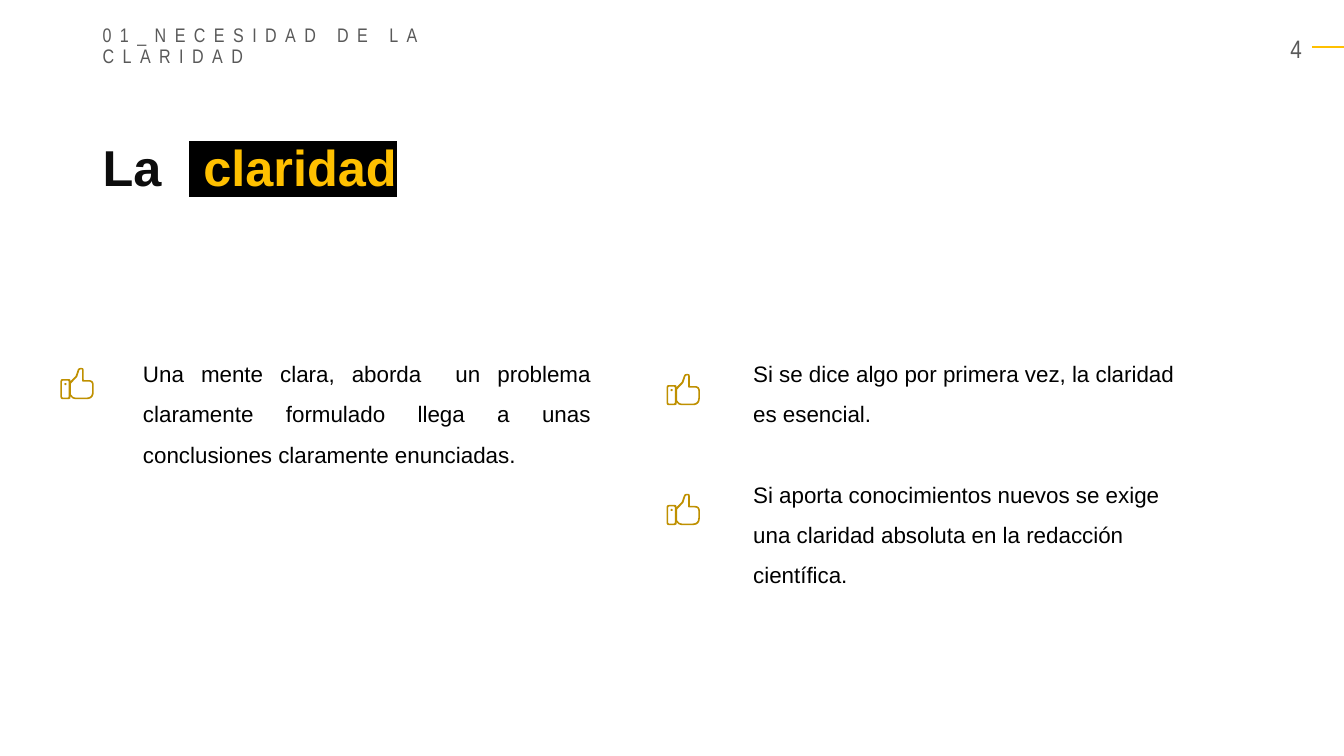
import pptx
import pptx.dml.color
import pptx.enum.shapes
import pptx.enum.text
import pptx.oxml
import pptx.oxml.ns
import pptx.util

COLORS = {
    "accent": "FFC000",
    "icon": "BF9000",
    "muted": "595959",
    "title": "0D0D0D",
    "black": "000000",
}
ALIGN = pptx.enum.text.PP_ALIGN
ANCHOR = pptx.enum.text.MSO_ANCHOR

# Thumbs-up contours in thousandths of an inch: x, y, corner radius
THUMBS_UP = [
    [(0, 110, 25), (0, 310, 25), (100, 310, 30), (100, 280, 0),
     (125, 310, 35), (330, 310, 70), (330, 120, 50), (230, 120, 8),
     (230, 0, 20), (178, 0, 20), (150, 80, 5), (98, 132, 0), (98, 110, 25)],
    [(15, 125, 15), (15, 295, 15), (82, 295, 15), (82, 125, 15)],
    [(104, 155, 5), (104, 262, 5), (130, 295, 35), (315, 295, 60),
     (315, 135, 38), (215, 135, 10), (215, 15, 5), (190, 15, 12),
     (168, 86, 8)],
    [(40, 150, 10), (40, 170, 10), (60, 170, 10), (60, 150, 10)],
]


def color(name):
    return pptx.dml.color.RGBColor.from_string(COLORS[name])


def rounded(corners, steps=6):
    """Return the points of a closed polygon with its corners rounded."""
    points = []
    for index, (x, y, radius) in enumerate(corners):
        ends = []
        for near_x, near_y, _ in (corners[index - 1], corners[(index + 1) % len(corners)]):
            length = ((near_x - x) ** 2 + (near_y - y) ** 2) ** 0.5
            share = min(radius / length, 0.5)
            ends.append((x + (near_x - x) * share, y + (near_y - y) * share))
        (start_x, start_y), (end_x, end_y) = ends
        for step in range(steps + 1):
            t = step / steps
            points.append((
                (1 - t) ** 2 * start_x + 2 * t * (1 - t) * x + t ** 2 * end_x,
                (1 - t) ** 2 * start_y + 2 * t * (1 - t) * y + t ** 2 * end_y,
            ))
    return points


def add_run(paragraph, text, size=16, font="Arial", fill="black",
            bold=False, spacing=0, highlight=None):
    run = paragraph.add_run()
    run.text = text
    run.font.size = pptx.util.Pt(size)
    run.font.name = font
    run.font.bold = bold
    run.font.color.rgb = color(fill)
    properties = run.font._element
    if spacing:
        properties.set("spc", str(spacing * 100))
    if highlight:
        mark = pptx.oxml.parse_xml(
            f'<a:highlight {pptx.oxml.ns.nsdecls("a")}>'
            f'<a:srgbClr val="{COLORS[highlight]}"/></a:highlight>')
        properties.find(pptx.oxml.ns.qn("a:solidFill")).addnext(mark)


class SlideBuilder:
    """Places elements by percentages of the slide's width and height."""

    def __init__(self, presentation):
        self.width = presentation.slide_width
        self.height = presentation.slide_height
        self.slide = presentation.slides.add_slide(presentation.slide_layouts[6])

    def across(self, percent):
        return round(self.width * percent / 100)

    def down(self, percent):
        return round(self.height * percent / 100)

    def text(self, box, paragraphs, align=ALIGN.LEFT, anchor=ANCHOR.TOP,
             line_spacing=1.0, gap=0, before=0):
        """Add a text box; each paragraph is a list of (text, format) runs."""
        left, top, width, height = box
        shape = self.slide.shapes.add_textbox(
            self.across(left), self.down(top), self.across(width), self.down(height))
        frame = shape.text_frame
        frame.word_wrap = True
        frame.vertical_anchor = anchor
        for index, runs in enumerate(paragraphs):
            paragraph = frame.add_paragraph() if index else frame.paragraphs[0]
            paragraph.alignment = align
            paragraph.line_spacing = line_spacing
            paragraph.space_before = pptx.util.Pt(gap if index else before)
            for text, style in runs:
                add_run(paragraph, text, **style)

    def line(self, start, end, y, stroke, weight):
        connector = self.slide.shapes.add_connector(
            pptx.enum.shapes.MSO_CONNECTOR.STRAIGHT,
            self.across(start), self.down(y), self.across(end), self.down(y))
        connector.line.color.rgb = color(stroke)
        connector.line.width = pptx.util.Pt(weight)
        connector._element.spPr.append(pptx.oxml.parse_xml(
            f'<a:effectLst {pptx.oxml.ns.nsdecls("a")}/>'))

    def thumbs_up(self, left, top):
        builder = None
        for contour in THUMBS_UP:
            points = rounded(contour)
            if builder is None:
                builder = self.slide.shapes.build_freeform(
                    *points[0], scale=pptx.util.Inches(1) / 1000)
            else:
                builder.move_to(*points[0])
            builder.add_line_segments(points[1:], close=True)
        shape = builder.convert_to_shape(self.across(left), self.down(top))
        shape.shadow.inherit = False
        shape.fill.solid()
        shape.fill.fore_color.rgb = color("icon")
        shape.line.fill.background()


def main():
    presentation = pptx.Presentation()
    presentation.slide_width = pptx.util.Inches(13.33)
    presentation.slide_height = pptx.util.Inches(7.5)
    slide = SlideBuilder(presentation)

    slide.line(100, 97.6, 6.27, "accent", 1.5)
    small = {"font": "Arial Narrow", "fill": "muted"}
    slide.text((91.3, 3.73, 6.3, 4.67),
               [[("4", {**small, "size": 18, "spacing": 3})]], align=ALIGN.RIGHT)
    slide.text((9.9, 45.2, 34.8, 16.8), [[(
        "Una mente clara, aborda  un problema claramente formulado llega a "
        "unas conclusiones claramente enunciadas.", {})]],
        align=ALIGN.JUSTIFY, line_spacing=1.5)
    heading = {"size": 36, "bold": True}
    slide.text((6.9, 17.33, 46.7, 9.47), [[
        ("La  ", {**heading, "fill": "title"}),
        (" claridad", {**heading, "fill": "accent", "highlight": "black"})]])
    slide.text((6.9, 3.47, 35.9, 5.33),
               [[("01_NECESIDAD DE LA CLARIDAD", {**small, "size": 14, "spacing": 6})]],
               anchor=ANCHOR.MIDDLE, line_spacing=0.9, before=10)
    slide.text((55.3, 45.2, 34.8, 32.9), [
        [("Si se dice algo por primera vez, la claridad es esencial.", {})],
        [("Si aporta conocimientos nuevos se exige una claridad absoluta "
          "en la redacción científica.", {})]],
        line_spacing=1.5, gap=28.7)
    for left, top in ((4.5, 48.67), (49.6, 49.47), (49.6, 65.33)):
        slide.thumbs_up(left, top)

    presentation.save("out.pptx")


if __name__ == "__main__":
    main()
